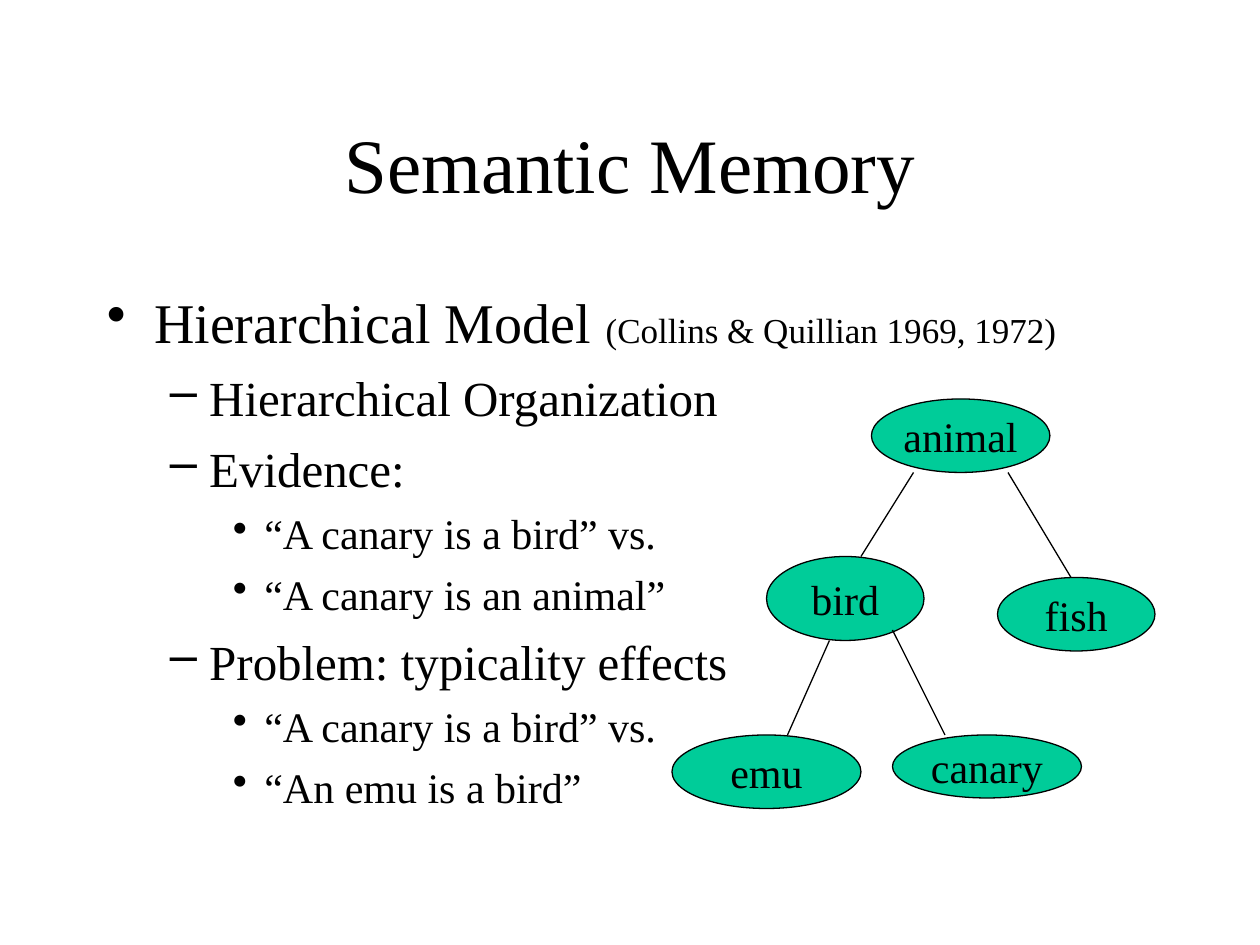
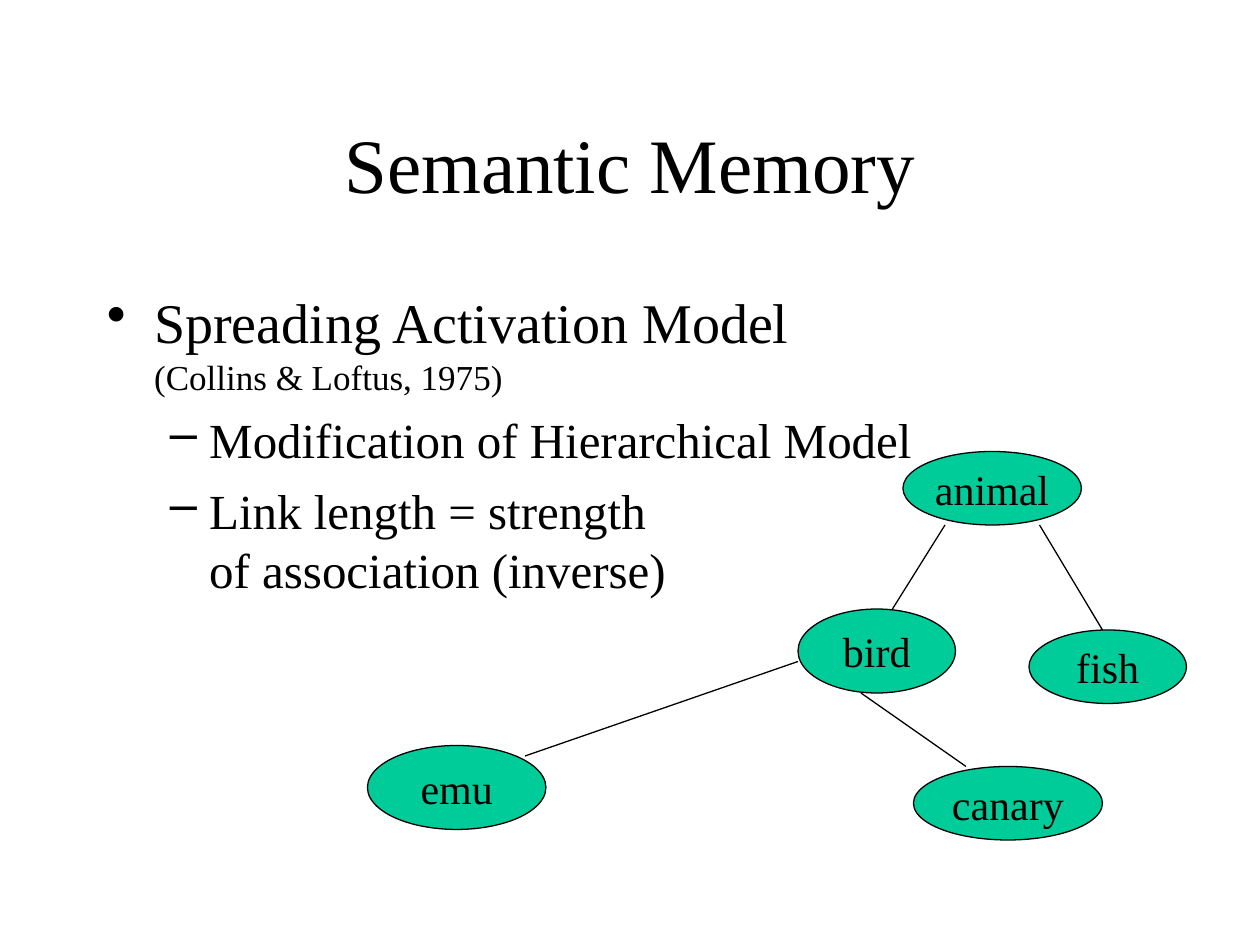
from pptx import Presentation
from pptx.dml.color import RGBColor
from pptx.enum.shapes import MSO_CONNECTOR as Connector, MSO_SHAPE as Shape
from pptx.enum.text import MSO_ANCHOR as Anchor, PP_ALIGN as Align
from pptx.oxml.ns import qn
from pptx.util import Pt
from lxml.etree import SubElement

BLACK, GREEN, WHITE = "000000", "00CC99", "FFFFFF"
FONT = "Times New Roman"
TITLE_BOX = (54, 48, 612, 90)
BODY_BOX = (54, 156, 612, 324)
BODY_TOP_INSET = 8.6
CITATION_SIZE = 20
LINE_WIDTH = 0.75

# One entry per outline level, lengths in points
LEVELS = [
    {"bullet": "•", "size": 32, "margin": 27, "hanging": 27, "before": 5},
    {"bullet": "–", "size": 28, "margin": 58.5, "hanging": 22.5, "before": 7},
    {"bullet": "•", "size": 24, "margin": 90, "hanging": 18, "before": 6},
]

# Nodes are (label, left, top, width, height) and links (x1, y1, x2, y2),
# measured from the left edge of "bird" and the top edge of "animal"
SHARED_NODES = [
    ("animal", 60, 0, 102, 42),
    ("bird", 0, 90, 90, 48),
    ("fish", 132, 102, 90, 42),
]
SHARED_LINKS = [(84, 42, 54, 90), (138, 42, 174, 102)]

SLIDES = [
    {
        "outline": [
            (0, "Hierarchical Model ", "(Collins & Quillian 1969, 1972)"),
            (1, "Hierarchical Organization", ""),
            (1, "Evidence:", ""),
            (2, "“A canary is a bird” vs.", ""),
            (2, "“A canary is an animal”", ""),
            (1, "Problem: typicality effects", ""),
            (2, "“A canary is a bird” vs.", ""),
            (2, "“An emu is a bird”", ""),
        ],
        "origin": (438, 228),
        "nodes": [("emu", -54, 192, 108, 42), ("canary", 72, 192, 108, 36)],
        "links": [(36, 138, 12, 192), (72, 132, 102, 192)],
    },
    {
        "outline": [
            (0, "Spreading Activation Model\n", "(Collins & Loftus, 1975)"),
            (1, "Modification of Hierarchical Model", ""),
            (1, "Link length = strength\nof association (inverse)", ""),
        ],
        "origin": (456, 258),
        "nodes": [("emu", -246, 168, 102, 48), ("canary", 66, 180, 108, 42)],
        "links": [(0, 120, -156, 174), (36, 138, 96, 180)],
    },
]


def color(value):
    return RGBColor.from_string(value)


def points(values):
    return [Pt(value) for value in values]


def add_text(paragraph, text, size):
    """Append text to the paragraph, turning newlines into line breaks."""
    for index, line in enumerate(text.split("\n")):
        if index:
            paragraph.add_line_break()
        if line:
            run = paragraph.add_run()
            run.text = line
            for name, value in {"name": FONT, "size": Pt(size)}.items():
                setattr(run.font, name, value)
            run.font.color.rgb = color(BLACK)


def format_frame(frame, **changes):
    settings = {
        "word_wrap": True,
        "vertical_anchor": Anchor.MIDDLE,
        "margin_left": Pt(7.2),
        "margin_right": Pt(7.2),
        "margin_top": Pt(3.6),
        "margin_bottom": Pt(3.6),
    }
    for name, value in (settings | changes).items():
        setattr(frame, name, value)


def add_centered_text(shape, text, size, wrap):
    format_frame(shape.text_frame, word_wrap=wrap)
    paragraph = shape.text_frame.paragraphs[0]
    paragraph.alignment = Align.CENTER
    add_text(paragraph, text, size)


def add_title(slide, box, text):
    add_centered_text(slide.shapes.add_textbox(*points(box)), text, 44, True)


def set_bullet(paragraph, style):
    properties = paragraph._p.get_or_add_pPr()
    properties.set("marL", str(Pt(style["margin"])))
    properties.set("indent", str(-Pt(style["hanging"])))
    SubElement(properties, qn("a:buChar")).set("char", style["bullet"])


def add_outline(slide, box, outline):
    frame = slide.shapes.add_textbox(*points(box)).text_frame
    format_frame(frame, vertical_anchor=Anchor.TOP, margin_top=Pt(BODY_TOP_INSET))
    for index, (level, text, citation) in enumerate(outline):
        style = LEVELS[level]
        paragraph = frame.add_paragraph() if index else frame.paragraphs[0]
        paragraph.level = level
        set_bullet(paragraph, style)
        paragraph.space_before = Pt(style["before"] if index else 0)
        add_text(paragraph, text, style["size"])
        if citation:
            add_text(paragraph, citation, CITATION_SIZE)


def set_line(line):
    line.color.rgb = color(BLACK)
    line.width = Pt(LINE_WIDTH)


def add_tree(slide, origin, nodes, links):
    """Draw the concept network, placed relative to its origin."""
    x, y = origin
    for label, left, top, width, height in nodes:
        box = points((x + left, y + top, width, height))
        node = slide.shapes.add_shape(Shape.OVAL, *box)
        node.shadow.inherit = False
        node.fill.solid()
        node.fill.fore_color.rgb = color(GREEN)
        set_line(node.line)
        add_centered_text(node, label, 24, False)
    for x1, y1, x2, y2 in links:
        ends = points((x + x1, y + y1, x + x2, y + y2))
        link = slide.shapes.add_connector(Connector.STRAIGHT, *ends)
        set_line(link.line)
        SubElement(link._element.spPr, qn("a:effectLst"))


def add_memory_slide(presentation, content):
    slide = presentation.slides.add_slide(presentation.slide_layouts[6])
    slide.background.fill.solid()
    slide.background.fill.fore_color.rgb = color(WHITE)
    add_title(slide, TITLE_BOX, "Semantic Memory")
    add_outline(slide, BODY_BOX, content["outline"])
    add_tree(
        slide,
        content["origin"],
        SHARED_NODES + content["nodes"],
        SHARED_LINKS + content["links"],
    )


def main():
    presentation = Presentation()
    presentation.slide_width, presentation.slide_height = points((720, 540))
    for content in SLIDES:
        add_memory_slide(presentation, content)
    presentation.save("out.pptx")


if __name__ == "__main__":
    main()
